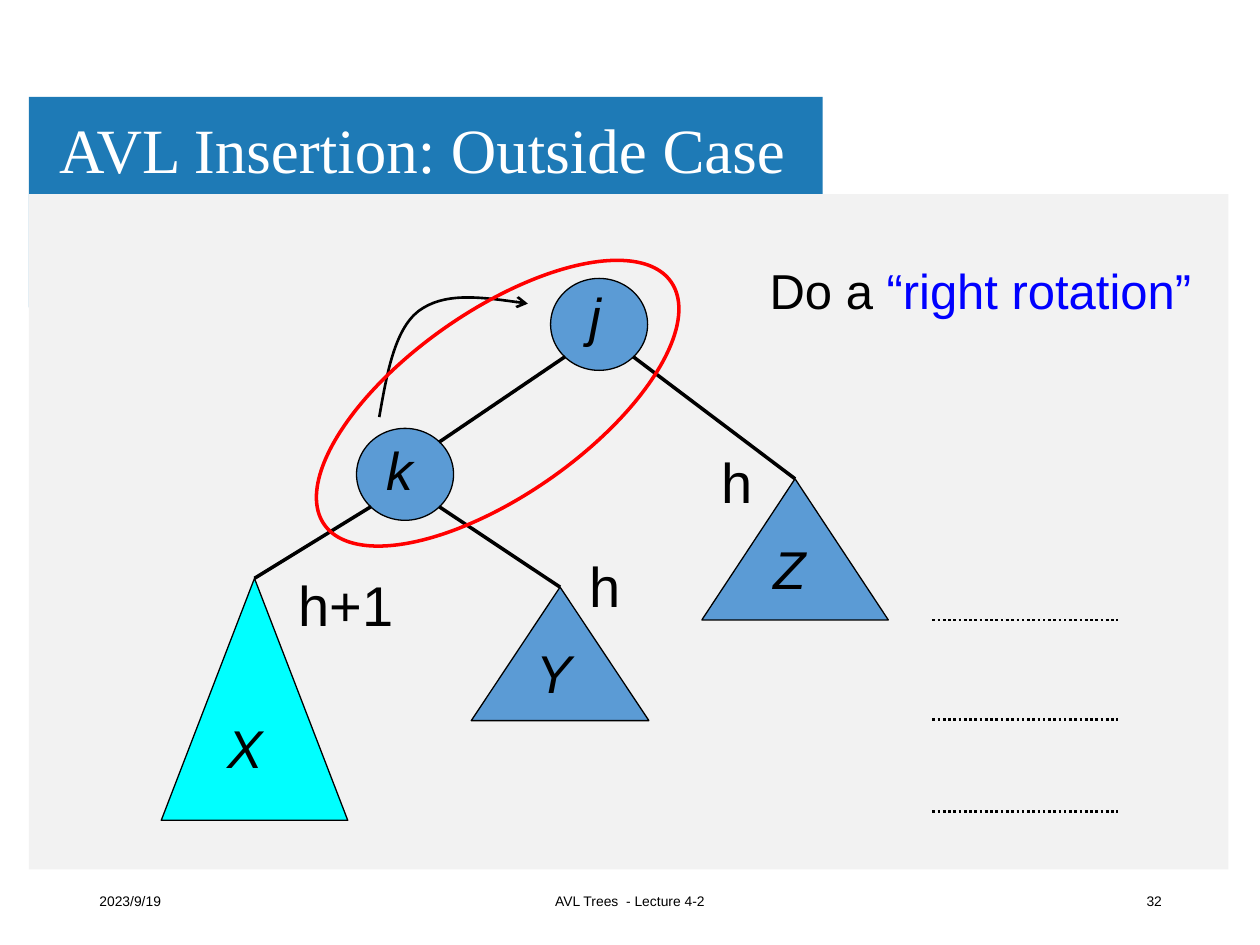
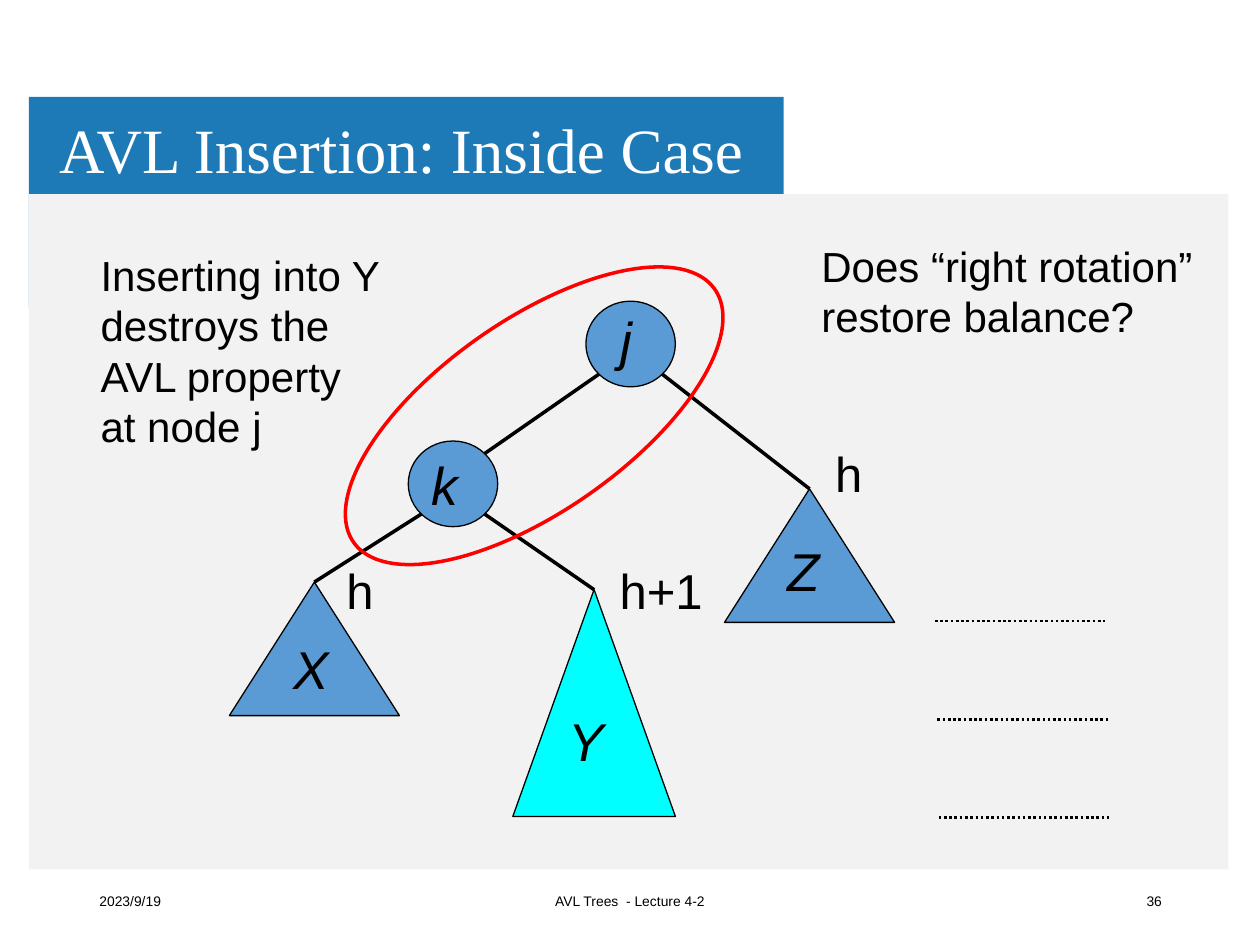
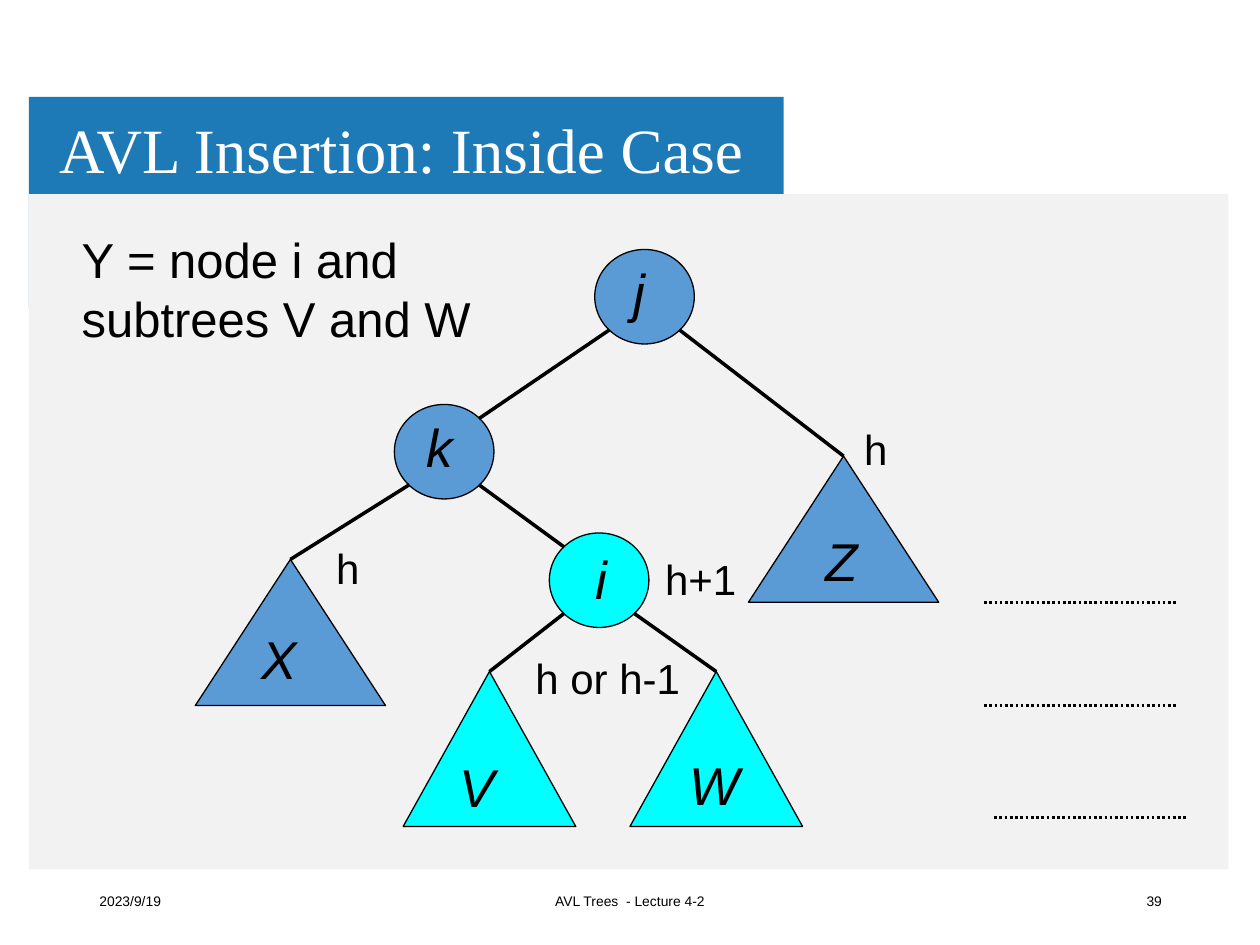
from dataclasses import dataclass

from lxml import etree
from pptx import Presentation
from pptx.dml.color import RGBColor
from pptx.enum.dml import MSO_LINE
from pptx.enum.shapes import MSO_CONNECTOR, MSO_SHAPE
from pptx.enum.text import MSO_ANCHOR, MSO_AUTO_SIZE, PP_ALIGN
from pptx.oxml.ns import qn
from pptx.util import Inches, Pt

RECTANGLE, OVAL = MSO_SHAPE.RECTANGLE, MSO_SHAPE.OVAL
TRIANGLE = MSO_SHAPE.ISOSCELES_TRIANGLE
STRAIGHT, DOTTED = MSO_CONNECTOR.STRAIGHT, MSO_LINE.ROUND_DOT
LEFT, CENTER, RIGHT = PP_ALIGN.LEFT, PP_ALIGN.CENTER, PP_ALIGN.RIGHT
TOP, MIDDLE = MSO_ANCHOR.TOP, MSO_ANCHOR.MIDDLE
TITLE_ONLY = 5

COLORS = {
    "band": "1E7AB6",
    "panel": "F2F2F2",
    "tree": "5B9BD5",
    "inserted": "00FFFF",
    "mark": "FF0000",
    "accent": "0000FF",
    "ink": "000000",
    "white": "FFFFFF",
}
BODY_FONT, TITLE_FONT = "Arial", "Times New Roman"
DIAGONAL = 0.15  # share of an oval's box outside its diagonal points


@dataclass
class Vertex:
    """A node (oval) or a subtree (triangle) with the place of its letter."""
    name: str
    left: float
    top: float
    width: float
    height: float
    letter_left: float
    letter_top: float
    kind: int = TRIANGLE
    color: str = "tree"

    @property
    def center(self) -> float:
        return self.left + self.width / 2

    def port(self, to_right: bool, below: bool) -> tuple[float, float]:
        """Point where an edge meets this vertex."""
        if self.kind == TRIANGLE:
            return self.center, self.top
        x_share = 1 - DIAGONAL if to_right else DIAGONAL
        y_share = 1 - DIAGONAL if below else DIAGONAL
        return self.left + x_share * self.width, self.top + y_share * self.height


@dataclass
class Label:
    text: str
    left: float
    top: float
    width: float
    height: float
    size: float
    wrap: bool = True
    italic: bool = False
    align: int = LEFT
    anchor: int = TOP
    highlight: str = ""


@dataclass
class TreeSlide:
    title: str
    band_width: float
    number: str
    vertices: list[Vertex]
    edges: str
    levels: list[tuple[float, float]]
    level_width: float
    labels: list[Label]
    mark: tuple[float, float, float, float] | None = None
    arrow: list[tuple[float, float]] | None = None


def rgb(name: str) -> RGBColor:
    return RGBColor.from_string(COLORS[name])


def node(name: str, left: float, top: float, width: float, height: float,
         letter_left: float, letter_top: float, color: str = "tree") -> Vertex:
    return Vertex(name, left, top, width, height, letter_left, letter_top, OVAL, color)


def style_run(run, size: float, color: str, font: str = BODY_FONT, italic: bool = False) -> None:
    run.font.name = font
    run.font.size = Pt(size)
    run.font.italic = italic
    run.font.color.rgb = rgb(color)


def add_label(slide, label: Label) -> None:
    box = slide.shapes.add_textbox(*map(Inches, (label.left, label.top, label.width, label.height)))
    text_frame = box.text_frame
    text_frame.word_wrap = label.wrap
    text_frame.auto_size = MSO_AUTO_SIZE.NONE
    text_frame.vertical_anchor = label.anchor
    text_frame.text = label.text
    for paragraph in text_frame.paragraphs:
        paragraph.alignment = label.align
        for run in paragraph.runs:
            style_run(run, label.size, "ink", italic=label.italic)
    if label.highlight:
        run = text_frame.paragraphs[-1].add_run()
        run.text = label.highlight
        style_run(run, label.size, "accent")


def add_figure(slide, kind: int, at: tuple, fill: str = "", line: str = "", width: float = 0.75):
    shape = slide.shapes.add_shape(kind, *map(Inches, at))
    shape.shadow.inherit = False
    if fill:
        shape.fill.solid()
        shape.fill.fore_color.rgb = rgb(fill)
    else:
        shape.fill.background()
    if line:
        shape.line.color.rgb = rgb(line)
        shape.line.width = Pt(width)
    else:
        shape.line.fill.background()
    return shape


def add_line(slide, start: tuple, end: tuple, width: float, dotted: bool = False) -> None:
    connector = slide.shapes.add_connector(STRAIGHT, *map(Inches, (*start, *end)))
    connector.line.color.rgb = rgb("ink")
    connector.line.width = Pt(width)
    if dotted:
        connector.line.dash_style = DOTTED
    etree.SubElement(connector.element.spPr, qn("a:effectLst"))


def add_curved_arrow(slide, points: list[tuple[float, float]]) -> None:
    """Draw a start point followed by cubic curves of three points each."""
    start, *rest = [(Inches(x), Inches(y)) for x, y in points]
    builder = slide.shapes.build_freeform(*start)
    builder.add_line_segments(rest, close=False)
    shape = builder.convert_to_shape()
    shape.shadow.inherit = False
    shape.fill.background()
    shape.line.color.rgb = rgb("ink")
    shape.line.width = Pt(1.5)
    line = shape.element.find(".//" + qn("a:ln"))
    etree.SubElement(line, qn("a:tailEnd"), type="arrow")
    # Turn each three straight segments into one cubic curve
    outline = shape.element.find(".//" + qn("a:path"))
    segments = outline.findall(qn("a:lnTo"))
    for first in range(0, len(segments), 3):
        curve = etree.SubElement(outline, qn("a:cubicBezTo"))
        for segment in segments[first:first + 3]:
            curve.append(segment[0])
            outline.remove(segment)


def add_frame(slide, content: TreeSlide) -> None:
    """Band, panel, title and footers shared by all slides."""
    add_figure(slide, RECTANGLE, (0.23, 0.77, content.band_width, 1.67), "band")
    add_figure(slide, RECTANGLE, (0.23, 1.54, 9.52, 5.36), "panel")

    title = slide.shapes.title
    slide.shapes.element.append(title.element)  # in front of the band
    title.left, title.top, title.width, title.height = map(Inches, (0.4, 0.82, 7.72, 0.79))
    text_frame = title.text_frame
    text_frame.margin_left = text_frame.margin_right = Inches(0.07)
    text_frame.margin_top = text_frame.margin_bottom = Inches(0.04)
    text_frame.auto_size = MSO_AUTO_SIZE.NONE
    text_frame.vertical_anchor = MIDDLE
    text_frame.text = content.title
    paragraph = text_frame.paragraphs[0]
    paragraph.alignment = LEFT
    paragraph.line_spacing = 0.9
    style_run(paragraph.runs[0], 36, "white", TITLE_FONT)

    for text, left, width, align in (
        ("2023/9/19", 0.69, 2.25, LEFT),
        ("AVL Trees  - Lecture 4-2", 3.31, 3.38, CENTER),
        (content.number, 7.07, 2.25, RIGHT),
    ):
        add_label(slide, Label(text, left, 6.95, width, 0.4, 7.9, align=align, anchor=MIDDLE))


def add_tree(slide, content: TreeSlide) -> None:
    by_name = {vertex.name: vertex for vertex in content.vertices}
    for vertex in content.vertices:
        at = (vertex.left, vertex.top, vertex.width, vertex.height)
        add_figure(slide, vertex.kind, at, vertex.color, "ink")
        add_label(slide, Label(vertex.name, vertex.letter_left, vertex.letter_top, 0.48, 0.61,
                               30.4, italic=True))
    for parent_name, child_name in content.edges.split():
        parent, child = by_name[parent_name], by_name[child_name]
        to_right = child.center > parent.center
        add_line(slide, parent.port(to_right, True), child.port(not to_right, False), 2)


def build_slide(presentation, content: TreeSlide) -> None:
    slide = presentation.slides.add_slide(presentation.slide_layouts[TITLE_ONLY])
    add_frame(slide, content)
    add_tree(slide, content)
    for left, top in content.levels:
        add_line(slide, (left, top), (left + content.level_width, top), 1.5, dotted=True)
    if content.arrow:
        add_curved_arrow(slide, content.arrow)
    if content.mark:
        add_figure(slide, OVAL, content.mark, line="mark", width=2).rotation = 325
    for label in content.labels:
        add_label(slide, label)


SLIDES = [
    # Outside case: rotate k over j
    TreeSlide(
        "AVL Insertion: Outside Case", 6.3, "32",
        vertices=[
            node("j", 4.37, 2.21, 0.77, 0.73, 4.58, 2.2),
            node("k", 2.83, 3.4, 0.77, 0.73, 2.97, 3.42),
            Vertex("X", 1.28, 4.59, 1.48, 1.92, 1.71, 5.63, color="inserted"),
            Vertex("Y", 3.74, 4.66, 1.41, 1.06, 4.16, 5.03),
            Vertex("Z", 5.57, 3.8, 1.48, 1.12, 6.04, 4.21),
        ],
        edges="jk jZ kX kY",
        levels=[(7.4, 4.92), (7.4, 5.71), (7.4, 6.44)],
        level_width=1.47,
        labels=[
            Label("Do a ", 6.01, 2.02, 3.55, 0.57, 28, wrap=False, highlight="“right rotation”"),
            Label("h", 5.63, 3.5, 0.46, 0.64, 32),
            Label("h+1", 2.27, 4.48, 1.22, 0.64, 32),
            Label("h", 4.58, 4.33, 0.46, 0.64, 32),
        ],
        mark=(2.27, 2.47, 3.36, 1.46),
        arrow=[(3.01, 3.31), (3.07, 2.97), (3.13, 2.62), (3.32, 2.47),
               (3.52, 2.32), (3.85, 2.36), (4.19, 2.41)],
    ),
    # Inside case: Y grows
    TreeSlide(
        "AVL Insertion: Inside Case", 5.99, "36",
        vertices=[
            node("j", 4.65, 2.39, 0.71, 0.68, 4.83, 2.39),
            node("k", 3.24, 3.5, 0.71, 0.68, 3.33, 3.54),
            Vertex("X", 1.82, 4.62, 1.35, 1.06, 2.23, 5),
            Vertex("Y", 4.07, 4.68, 1.29, 1.8, 4.41, 5.57, color="inserted"),
            Vertex("Z", 5.75, 3.88, 1.35, 1.06, 6.15, 4.22),
        ],
        edges="jk jZ kX kY",
        levels=[(7.42, 4.93), (7.44, 5.71), (7.45, 6.49)],
        level_width=1.35,
        labels=[
            Label("Inserting into Y\ndestroys the\nAVL property\nat node j",
                  0.7, 1.93, 2.5, 1.72, 24, wrap=False),
            Label("Does “right rotation”\nrestore balance?", 6.42, 1.86, 3.15, 0.91, 24, wrap=False),
            Label("h", 6.53, 3.47, 0.48, 0.57, 28),
            Label("h+1", 4.82, 4.4, 1.13, 0.57, 28),
            Label("h", 2.65, 4.4, 0.48, 0.57, 28),
        ],
        mark=(2.49, 2.54, 3.5, 1.52),
    ),
    # Inside case: Y opened into node i with V and W
    TreeSlide(
        "AVL Insertion: Inside Case", 5.99, "39",
        vertices=[
            node("j", 4.72, 1.98, 0.79, 0.75, 4.93, 2.01),
            node("k", 3.13, 3.21, 0.79, 0.75, 3.29, 3.24),
            Vertex("X", 1.55, 4.44, 1.51, 1.16, 1.98, 4.92),
            Vertex("V", 3.2, 5.33, 1.37, 1.23, 3.55, 5.94, color="inserted"),
            Vertex("Z", 5.94, 3.62, 1.51, 1.16, 6.45, 4.14),
            Vertex("W", 5, 5.33, 1.37, 1.23, 5.37, 5.92, color="inserted"),
            node("i", 4.36, 4.23, 0.79, 0.75, 4.63, 4.29, "inserted"),
        ],
        edges="jk jZ kX ki iV iW",
        levels=[(7.81, 4.78), (7.81, 5.6), (7.89, 6.49)],
        level_width=1.52,
        labels=[
            Label("Y = node i and\nsubtrees V and W", 0.55, 1.77, 3.29, 1.04, 28, wrap=False),
            Label("h", 6.76, 3.31, 0.49, 0.5, 24),
            Label("h+1", 5.18, 4.34, 0.79, 0.5, 24),
            Label("h", 2.57, 4.26, 0.49, 0.5, 24),
            Label("h or h-1", 4.15, 5.13, 1.41, 0.5, 24),
        ],
    ),
]


def main() -> None:
    presentation = Presentation()
    presentation.slide_width, presentation.slide_height = Inches(10), Inches(7.5)
    for content in SLIDES:
        build_slide(presentation, content)
    presentation.save("out.pptx")


if __name__ == "__main__":
    main()
